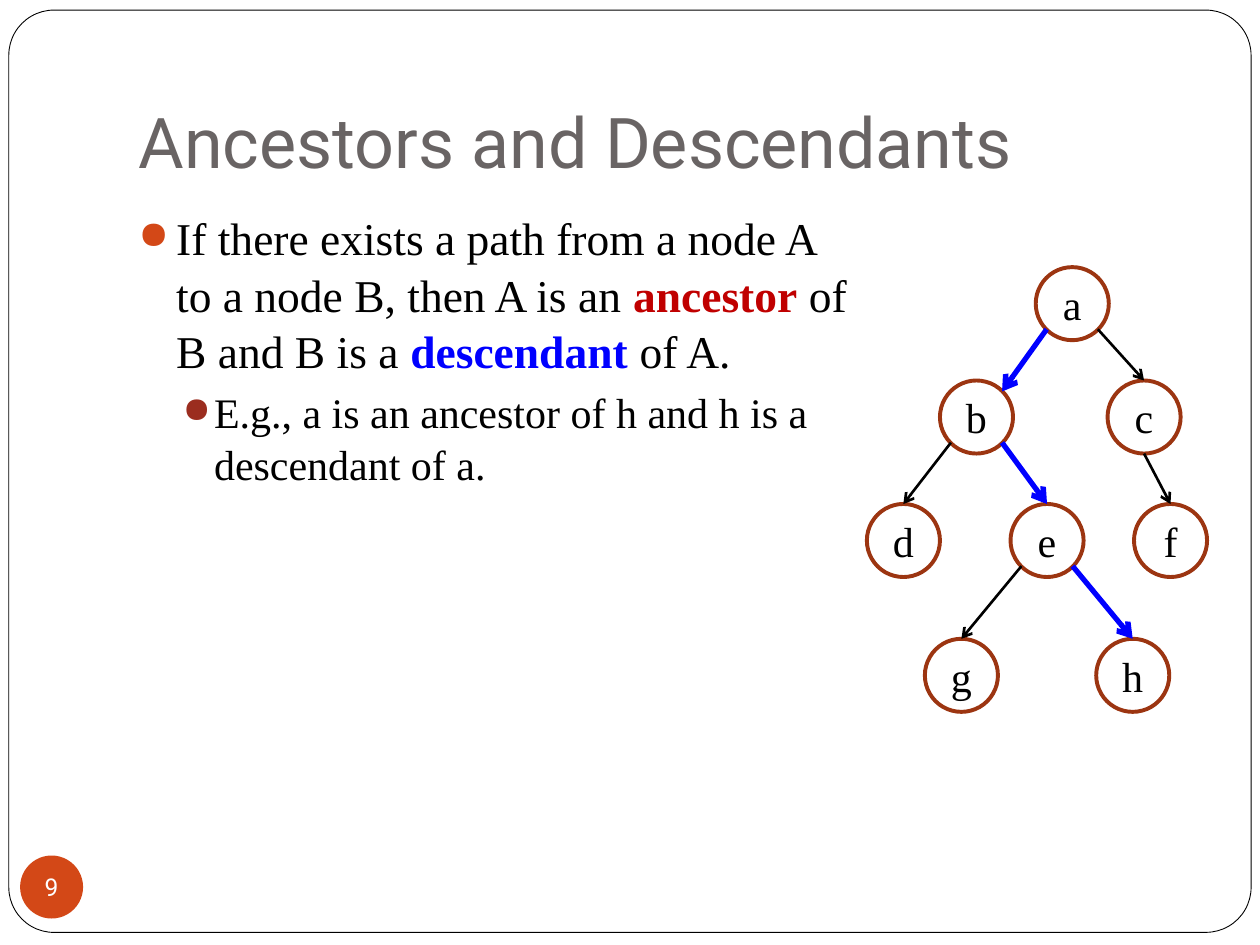
"""Build a slide that defines ancestors and descendants with a binary tree."""
from lxml import etree
from pptx import Presentation
from pptx.dml.color import RGBColor
from pptx.enum.shapes import MSO_CONNECTOR, MSO_SHAPE
from pptx.enum.text import MSO_ANCHOR, PP_ALIGN
from pptx.oxml.ns import qn
from pptx.util import Inches, Pt

STRAIGHT = MSO_CONNECTOR.STRAIGHT
OVAL = MSO_SHAPE.OVAL
ROUNDED = MSO_SHAPE.ROUNDED_RECTANGLE
MIDDLE, BOTTOM = MSO_ANCHOR.MIDDLE, MSO_ANCHOR.BOTTOM
LEFT, CENTER = PP_ALIGN.LEFT, PP_ALIGN.CENTER
SANS, SERIF = "Roboto", "Times New Roman"
COLORS = {
    "title": "696464",
    "black": "000000",
    "white": "FFFFFF",
    "orange": "D34817",
    "brown": "9B2D1F",
    "node": "9C3511",
    "ancestor": "C00000",
    "blue": "0000FF",
}


def color(name):
    return RGBColor.from_string(COLORS[name])


def add_text(paragraph, text, size=24, font=SERIF, fill="black", bold=False, align=LEFT):
    paragraph.alignment = align
    run = paragraph.add_run()
    run.text = text
    run.font.size = Pt(size)
    run.font.name = font
    run.font.bold = bold
    run.font.color.rgb = color(fill)


presentation = Presentation()
presentation.slide_width = Inches(10)
presentation.slide_height = Inches(7.5)
slide = presentation.slides.add_slide(presentation.slide_layouts[5])
shapes = slide.shapes

title = shapes.title
title.left, title.top = Inches(1), Inches(0.3)
title.width, title.height = Inches(8.5), Inches(1.25)
title.text_frame.vertical_anchor = BOTTOM
title.text_frame.margin_bottom = Inches(0.1)
add_text(title.text_frame.paragraphs[0], "Ancestors and Descendants",
         size=40, font=SANS, fill="title")

frame = shapes.add_shape(ROUNDED, Inches(0.07), Inches(0.08), Inches(9.86), Inches(7.32))
frame.adjustments[0] = 0.049
frame.shadow.inherit = False
frame.fill.background()
frame.line.color.rgb = color("black")
frame.line.width = Pt(0.5)

badge = shapes.add_shape(OVAL, Inches(0.16), Inches(6.79), Inches(0.5), Inches(0.5))
badge.shadow.inherit = False
badge.fill.solid()
badge.fill.fore_color.rgb = color("orange")
badge.line.fill.background()
number = badge.text_frame
number.word_wrap = False
number.vertical_anchor = MIDDLE
number.margin_left = number.margin_right = number.margin_top = number.margin_bottom = 0
add_text(number.paragraphs[0], "9", size=14, font=SANS, fill="white", align=CENTER)

body = shapes.add_textbox(Inches(1), Inches(1.6), Inches(5.88), Inches(5)).text_frame
body.word_wrap = True
bullets = [
    (0, 0.3, -0.3, 0, 26, "orange", [
        ("If there exists a path from a node A to a node B, then A is an ", "black"),
        ("ancestor", "ancestor"),
        (" of B and B is a ", "black"),
        ("descendant", "blue"),
        (" of A.", "black"),
    ]),
    (1, 0.6, -0.25, 3.7, 24, "brown", [
        ("E.g., a is an ancestor of h and h is a descendant of a.", "black"),
    ]),
]
for level, margin, indent, space, size, bullet_color, runs in bullets:
    paragraph = body.add_paragraph() if level else body.paragraphs[0]
    paragraph.level = level
    paragraph.line_spacing = 1.04
    paragraph.space_before = Pt(space)
    properties = paragraph._p.get_or_add_pPr()
    properties.set("marL", str(Inches(margin)))
    properties.set("indent", str(Inches(indent)))
    bullet = etree.SubElement(properties, qn("a:buClr"))
    etree.SubElement(bullet, qn("a:srgbClr"), val=COLORS[bullet_color])
    etree.SubElement(properties, qn("a:buSzPct"), val="85000")
    etree.SubElement(properties, qn("a:buChar"), char="●")
    for text, fill in runs:
        add_text(paragraph, text, size=size, fill=fill, bold=fill != "black")

DIAMETER = 0.58
nodes = {
    "a": (8.22, 2.12),
    "c": (8.79, 3.02),
    "b": (7.46, 3.02),
    "d": (6.88, 4),
    "e": (8.02, 4),
    "f": (9, 4),
    "g": (7.34, 5.07),
    "h": (8.7, 5.07),
}
for label, (left, top) in nodes.items():
    node = shapes.add_shape(OVAL, Inches(left), Inches(top), Inches(DIAMETER), Inches(DIAMETER))
    node.shadow.inherit = False
    node.fill.background()
    node.line.color.rgb = color("node")
    node.line.width = Pt(2.25)
    node.text_frame.vertical_anchor = MIDDLE
    node.text_frame.word_wrap = False
    add_text(node.text_frame.paragraphs[0], label, align=CENTER)

sites = {
    "top": (0.5, 0),
    "top right": (0.85, 0.15),
    "bottom": (0.5, 1),
    "bottom left": (0.15, 0.85),
    "bottom right": (0.85, 0.85),
}
edges = [
    ("a", "bottom left", "b", "top right", True),
    ("b", "bottom left", "d", "top", False),
    ("b", "bottom right", "e", "top", True),
    ("a", "bottom right", "c", "top", False),
    ("c", "bottom", "f", "top", False),
    ("e", "bottom left", "g", "top", False),
    ("e", "bottom right", "h", "top", True),
]
for parent, start, child, end, on_path in edges:
    ends = [
        Inches(corner + DIAMETER * share)
        for name, site in ((parent, start), (child, end))
        for corner, share in zip(nodes[name], sites[site])
    ]
    edge = shapes.add_connector(STRAIGHT, *ends)
    edge.line.color.rgb = color("blue" if on_path else "black")
    edge.line.width = Pt(3 if on_path else 1.5)
    etree.SubElement(edge.line._get_or_add_ln(), qn("a:tailEnd"), type="arrow")
    etree.SubElement(edge._element.spPr, qn("a:effectLst"))

presentation.save("out.pptx")
